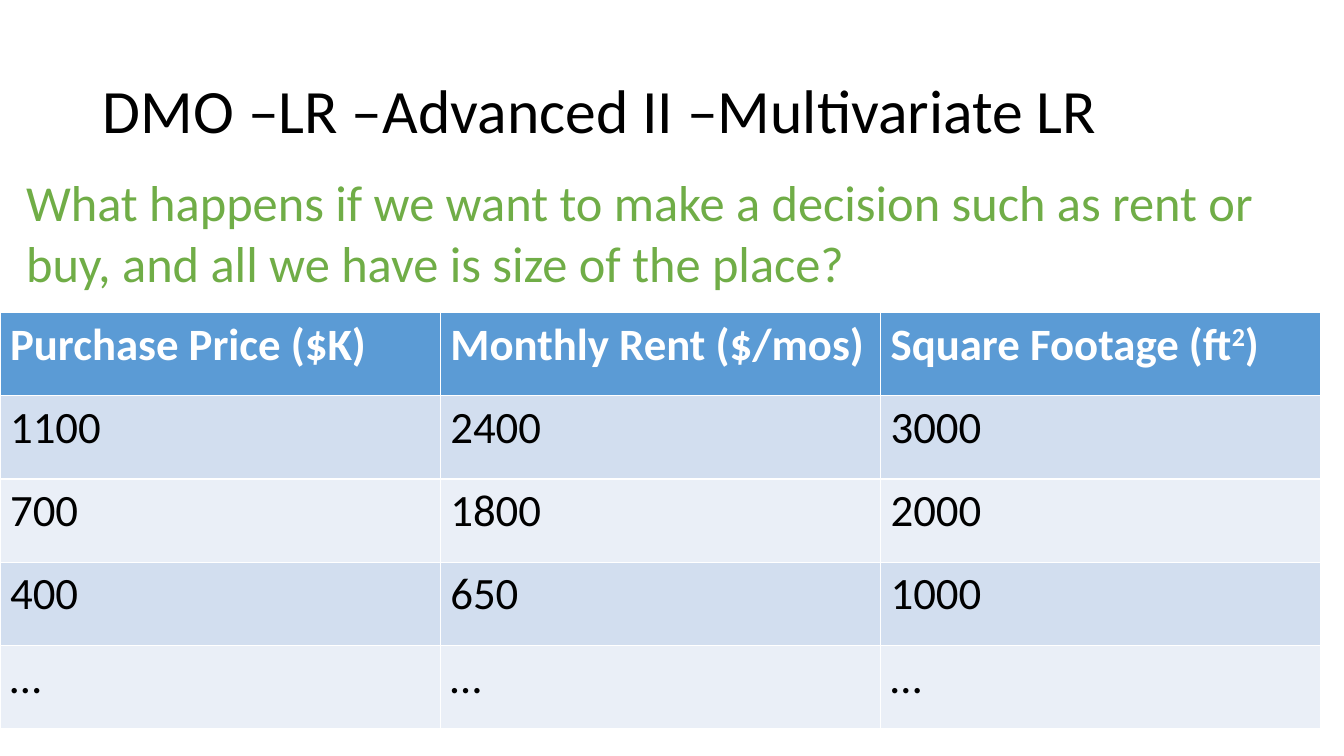
from pptx import Presentation
from pptx.dml.color import RGBColor
from pptx.enum.text import MSO_ANCHOR, MSO_AUTO_SIZE, PP_ALIGN
from pptx.util import Inches, Pt

TITLE = "DMO –LR –Advanced II –Multivariate LR"
QUESTION = ("What happens if we want to make a decision such as rent or buy, "
            "and all we have is size of the place?")
ROWS = [
    ("Purchase Price ($K)", "Monthly Rent ($/mos)", "Square Footage (ft^2^)"),
    ("1100", "2400", "3000"),
    ("700", "1800", "2000"),
    ("400", "650", "1000"),
    ("…", "…", "…"),
]

FONT = "Calibri"
BLACK = RGBColor(0x00, 0x00, 0x00)
WHITE = RGBColor(0xFF, 0xFF, 0xFF)
GREEN = RGBColor(0x70, 0xAD, 0x47)
HEADER = RGBColor(0x5B, 0x9B, 0xD5)
BANDS = [RGBColor(0xEA, 0xEF, 0xF7), RGBColor(0xD2, 0xDE, 0xEF)]
LEFT, MIDDLE, NO_FIT = PP_ALIGN.LEFT, MSO_ANCHOR.MIDDLE, MSO_AUTO_SIZE.NONE

TITLE_BOX = (0.92, 0.4, 12.29, 1.45)
QUESTION_BOX = (0.16, 1.65, 12.85, 1.31)
TABLE_BOX = (0, 3.1, 13.1, 4.13)


def style(p, size, color, bold=False):
    p.alignment = LEFT
    p.font.name, p.font.size = FONT, Pt(size)
    p.font.color.rgb, p.font.bold = color, bold


def add_runs(p, text):
    for i, part in enumerate(text.split("^")):
        r = p.add_run()
        r.text = part
        if i % 2:
            r._r.get_or_add_rPr().set("baseline", "30000")


prs = Presentation()
prs.slide_width, prs.slide_height = Inches(13.33), Inches(7.5)
s = prs.slides.add_slide(prs.slide_layouts[5])

title = s.shapes.title
title.left, title.top, title.width, title.height = map(Inches, TITLE_BOX)
tf = title.text_frame
tf.text = TITLE
tf.vertical_anchor, tf.auto_size, tf.word_wrap = MIDDLE, NO_FIT, True
tf.paragraphs[0].line_spacing = 0.9
style(tf.paragraphs[0], 44, BLACK)

tf = s.shapes.add_textbox(*map(Inches, QUESTION_BOX)).text_frame
tf.word_wrap = True
tf.text = QUESTION
style(tf.paragraphs[0], 36, GREEN)

table = s.shapes.add_table(len(ROWS), len(ROWS[0]), *map(Inches, TABLE_BOX)).table
for i, row in enumerate(ROWS):
    for j, text in enumerate(row):
        cell = table.cell(i, j)
        cell.fill.solid()
        cell.fill.fore_color.rgb = BANDS[i % 2] if i else HEADER
        p = cell.text_frame.paragraphs[0]
        add_runs(p, text)
        style(p, 32, BLACK if i else WHITE, bold=i == 0)

prs.save("out.pptx")
